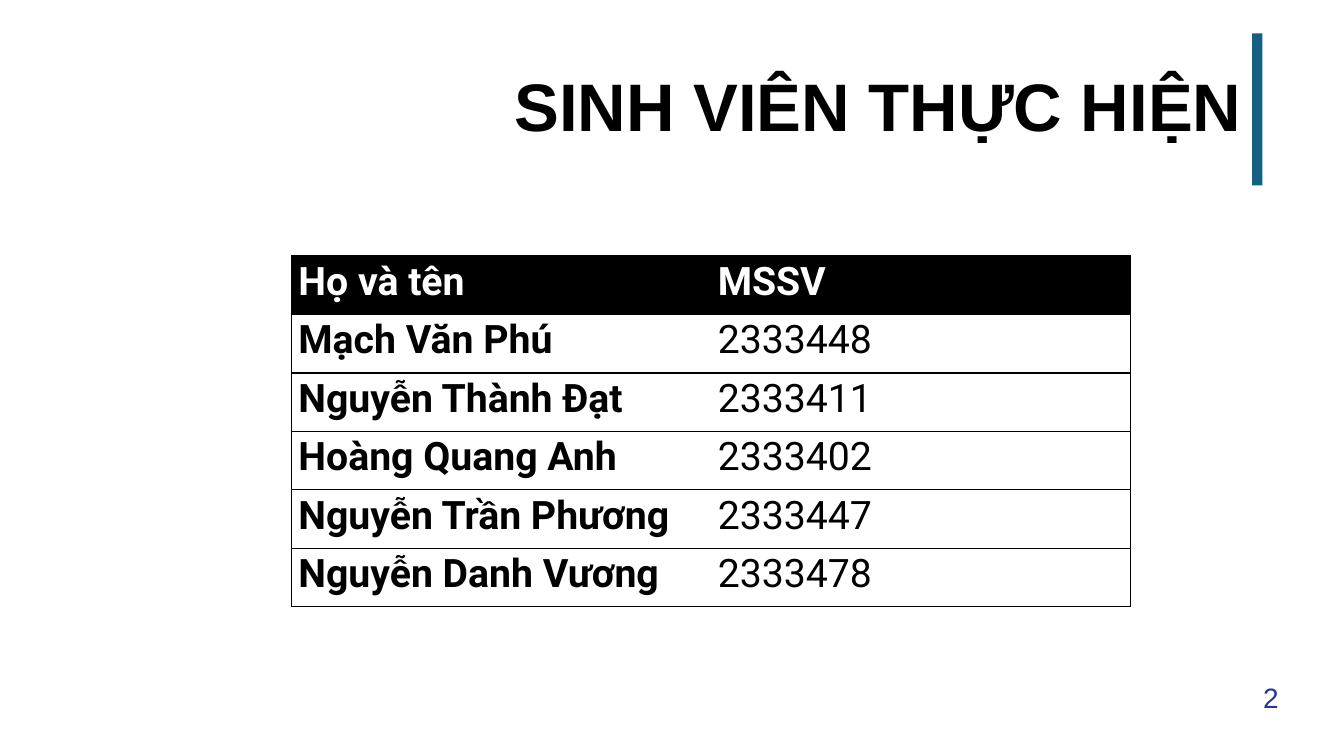
from dataclasses import dataclass

from lxml import etree
from pptx import Presentation
from pptx.dml.color import RGBColor
from pptx.enum.shapes import MSO_SHAPE
from pptx.enum.text import MSO_ANCHOR, PP_ALIGN
from pptx.oxml.ns import qn
from pptx.slide import Slide
from pptx.table import _Cell
from pptx.text.text import TextFrame
from pptx.util import Inches, Pt

BLACK = RGBColor(0x00, 0x00, 0x00)
WHITE = RGBColor(0xFF, 0xFF, 0xFF)
TEAL = RGBColor(0x15, 0x60, 0x82)
NAVY = RGBColor(0x24, 0x38, 0x91)
RECTANGLE = MSO_SHAPE.RECTANGLE
MIDDLE = MSO_ANCHOR.MIDDLE
LEFT, RIGHT = PP_ALIGN.LEFT, PP_ALIGN.RIGHT

BORDER_WIDTH = Pt(1)
ROW_HEIGHT = 0.58
COLUMN_WIDTH = 4.16
CELL_MARGINS = {
    "margin_left": Inches(0.07),
    "margin_right": Inches(0.07),
    "margin_top": 0,
    "margin_bottom": 0,
}
CELL_PARAGRAPH = {"line_spacing": 1.07, "space_after": Pt(8)}


@dataclass
class Label:
    text: str
    left: float
    top: float
    width: float
    height: float
    paragraph: dict
    font: dict
    color: RGBColor


@dataclass
class Student:
    name: str
    number: str


LABELS = [
    Label("SINH VIÊN THỰC HIỆN", 2.52, 0.33, 9.9, 1.51,
          {"alignment": RIGHT, "line_spacing": 0.9},
          {"name": "Arial", "size": Pt(48), "bold": True}, BLACK),
    Label("2", 12.43, 6.67, 0.57, 0.5,
          {"alignment": LEFT},
          {"name": "Arial", "size": Pt(20), "bold": False}, NAVY),
]
HEADING = Student("Họ và tên", "MSSV")
STUDENTS = [
    Student("Mạch Văn Phú", "2333448"),
    Student("Nguyễn Thành Đạt", "2333411"),
    Student("Hoàng Quang Anh", "2333402"),
    Student("Nguyễn Trần Phương", "2333447"),
    Student("Nguyễn Danh Vương", "2333478"),
]


def apply_format(target: object, values: dict) -> None:
    for name, value in values.items():
        setattr(target, name, value)


def write_text(frame: TextFrame, text: str, paragraph: dict, font: dict,
               color: RGBColor) -> None:
    para = frame.paragraphs[0]
    apply_format(para, paragraph)
    span = para.add_run()
    span.text = text
    apply_format(span.font, font)
    span.font.color.rgb = color


def add_label(page: Slide, label: Label) -> None:
    box = page.shapes.add_textbox(Inches(label.left), Inches(label.top),
                                  Inches(label.width), Inches(label.height))
    apply_format(box.text_frame, {"word_wrap": True, "vertical_anchor": MIDDLE})
    write_text(box.text_frame, label.text, label.paragraph, label.font, label.color)


def add_accent_bar(page: Slide) -> None:
    bar = page.shapes.add_shape(RECTANGLE, Inches(12.42), Inches(0.33),
                                Inches(0.1), Inches(1.51))
    bar.shadow.inherit = False
    bar.fill.solid()
    bar.fill.fore_color.rgb = TEAL
    bar.line.fill.background()


def set_borders(cell: _Cell, hidden_side: str) -> None:
    """Draw every side of the cell in black except the hidden one."""
    properties = cell._tc.get_or_add_tcPr()
    for position, side in enumerate(("lnL", "lnR", "lnT", "lnB")):
        border = etree.Element(qn(f"a:{side}"), w=str(BORDER_WIDTH))
        if side == hidden_side:
            etree.SubElement(border, qn("a:noFill"))
        else:
            fill = etree.SubElement(border, qn("a:solidFill"))
            etree.SubElement(fill, qn("a:srgbClr"), val=str(BLACK))
        properties.insert(position, border)


def add_student_table(page: Slide) -> None:
    rows = [HEADING, *STUDENTS]
    table = page.shapes.add_table(
        len(rows), 2, Inches(2.89), Inches(2.54),
        Inches(2 * COLUMN_WIDTH), Inches(len(rows) * ROW_HEIGHT)).table
    table.horz_banding = False
    for row_index, student in enumerate(rows):
        is_heading = row_index == 0
        for column_index, text in enumerate((student.name, student.number)):
            is_name = column_index == 0
            cell = table.cell(row_index, column_index)
            apply_format(cell, CELL_MARGINS)
            cell.fill.solid()
            cell.fill.fore_color.rgb = BLACK if is_heading else WHITE
            set_borders(cell, "lnR" if is_name else "lnL")
            font = {"name": "Roboto", "size": Pt(28), "bold": is_heading or is_name}
            write_text(cell.text_frame, text, CELL_PARAGRAPH, font,
                       WHITE if is_heading else BLACK)


def main() -> None:
    deck = Presentation()
    deck.slide_width, deck.slide_height = Inches(13.33), Inches(7.5)
    page = deck.slides.add_slide(deck.slide_layouts[6])
    add_accent_bar(page)
    for label in LABELS:
        add_label(page, label)
    add_student_table(page)
    deck.save("out.pptx")


if __name__ == "__main__":
    main()
